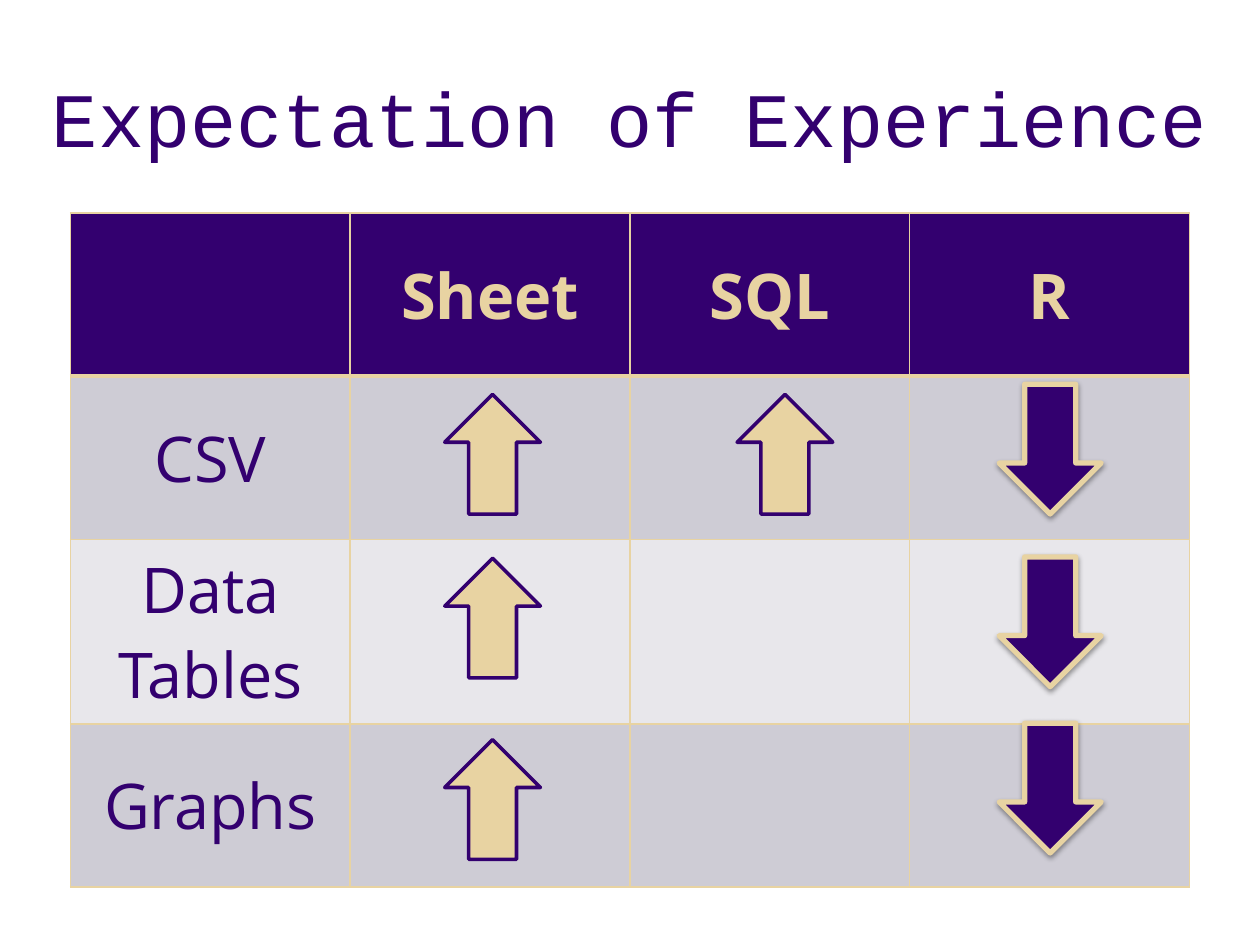
from lxml import etree
from pptx import Presentation
from pptx.dml.color import RGBColor
from pptx.enum.shapes import MSO_SHAPE
from pptx.enum.text import MSO_ANCHOR, MSO_AUTO_SIZE, PP_ALIGN
from pptx.oxml.ns import qn
from pptx.util import Inches, Pt

UP, DOWN = MSO_SHAPE.UP_ARROW, MSO_SHAPE.DOWN_ARROW
MIDDLE, CENTER, NO_FIT = MSO_ANCHOR.MIDDLE, PP_ALIGN.CENTER, MSO_AUTO_SIZE.NONE
HEX = {"purple": "33006F", "gold": "E8D3A2", "dark": "CECCD5", "light": "E8E7EB", "black": "000000"}
WIDE, HIGH = 10, 7.5
LEFT, TOP, COL, ROW = 0.56, 1.69, 2.22, 1.295
ROWS = [["", "Sheet", "SQL", "R"], ["CSV"], ["Data Tables"], ["Graphs"]]
KINDS = {
    "up": {"form": UP, "size": (0.76, 0.95), "fill": "gold", "line": "purple", "width": 2, "shadow": False},
    "down": {"form": DOWN, "size": (0.81, 1.03), "fill": "purple", "line": "gold", "width": 3, "shadow": True},
}
ARROWS = [
    ("up", 3.53, (3.13, 4.43, 5.87)),
    ("up", 5.85, (3.13,)),
    ("down", 7.93, (3.05, 4.42, 5.74)),
]


def color(name):
    """Return the named colour."""
    return RGBColor.from_string(HEX[name])


def add_node(parent, tag, **attrs):
    """Append an XML child with attributes."""
    node = etree.SubElement(parent, qn(tag))
    for key, value in attrs.items():
        node.set(key, str(value))
    return node


def write(frame, text, **form):
    """Write one centred, formatted paragraph."""
    frame.text = text
    para = frame.paragraphs[0]
    para.alignment = CENTER
    font = para.runs[0].font
    font.color.rgb = color(form.pop("ink"))
    for key, value in form.items():
        setattr(font, key, value)
    return para


def add_title(slide, text):
    """Place and format the title."""
    title = slide.shapes.title
    place = {"left": 0, "top": 0.036 * HIGH, "width": WIDE, "height": 0.175 * HIGH}
    for key, value in place.items():
        setattr(title, key, Inches(value))
    frame = title.text_frame
    para = write(frame, text, ink="purple", name="Courier New", size=Pt(44))
    para.space_before = Pt(8.8)
    frame.vertical_anchor, frame.auto_size = MIDDLE, NO_FIT


def edge_cell(cell, base):
    """Draw the four borders of a cell."""
    props = cell._tc.get_or_add_tcPr()
    for spot, side in enumerate("LRTB"):
        width = base if side == "B" else 1
        line = add_node(props, f"a:ln{side}", w=Pt(width))
        add_node(add_node(line, "a:solidFill"), "a:srgbClr", val=HEX["gold"])
        props.insert(spot, line)


def add_grid(slide):
    """Add the table of tools and tasks."""
    count = len(ROWS[0])
    box = [Inches(n) for n in (LEFT, TOP, count * COL, len(ROWS) * ROW)]
    table = slide.shapes.add_table(len(ROWS), count, *box).table
    for r, texts in enumerate(ROWS):
        head = r == 0
        fill = "purple" if head else "dark" if r % 2 else "light"
        for c in range(count):
            cell = table.cell(r, c)
            cell.fill.solid()
            cell.fill.fore_color.rgb = color(fill)
            cell.vertical_anchor = MIDDLE
            edge_cell(cell, 3 if head else 1)
            if c < len(texts) and texts[c]:
                write(cell.text_frame, texts[c], ink="gold" if head else "purple",
                      name="Open Sans", size=Pt(36), bold=head)


def add_arrow(slide, kind, left, top):
    """Add one block arrow of a kind."""
    form = KINDS[kind]
    box = [Inches(n) for n in (left, top, *form["size"])]
    arrow = slide.shapes.add_shape(form["form"], *box)
    arrow.fill.solid()
    arrow.fill.fore_color.rgb = color(form["fill"])
    arrow.line.color.rgb = color(form["line"])
    arrow.line.width = Pt(form["width"])
    arrow.shadow.inherit = False
    if form["shadow"]:
        effect = arrow._element.spPr.find(qn("a:effectLst"))
        shade = add_node(effect, "a:outerShdw", blurRad=Pt(3.1), dist=Pt(1.6),
                         dir=5400000, rotWithShape=0)
        tint = add_node(shade, "a:srgbClr", val=HEX["black"])
        add_node(tint, "a:alpha", val=38000)


def main():
    """Build and save the slide."""
    deck = Presentation()
    deck.slide_width, deck.slide_height = Inches(WIDE), Inches(HIGH)
    slide = deck.slides.add_slide(deck.slide_layouts[5])
    add_title(slide, "Expectation of Experience")
    add_grid(slide)
    for kind, left, tops in ARROWS:
        for top in tops:
            add_arrow(slide, kind, left, top)
    deck.save("out.pptx")


main()
